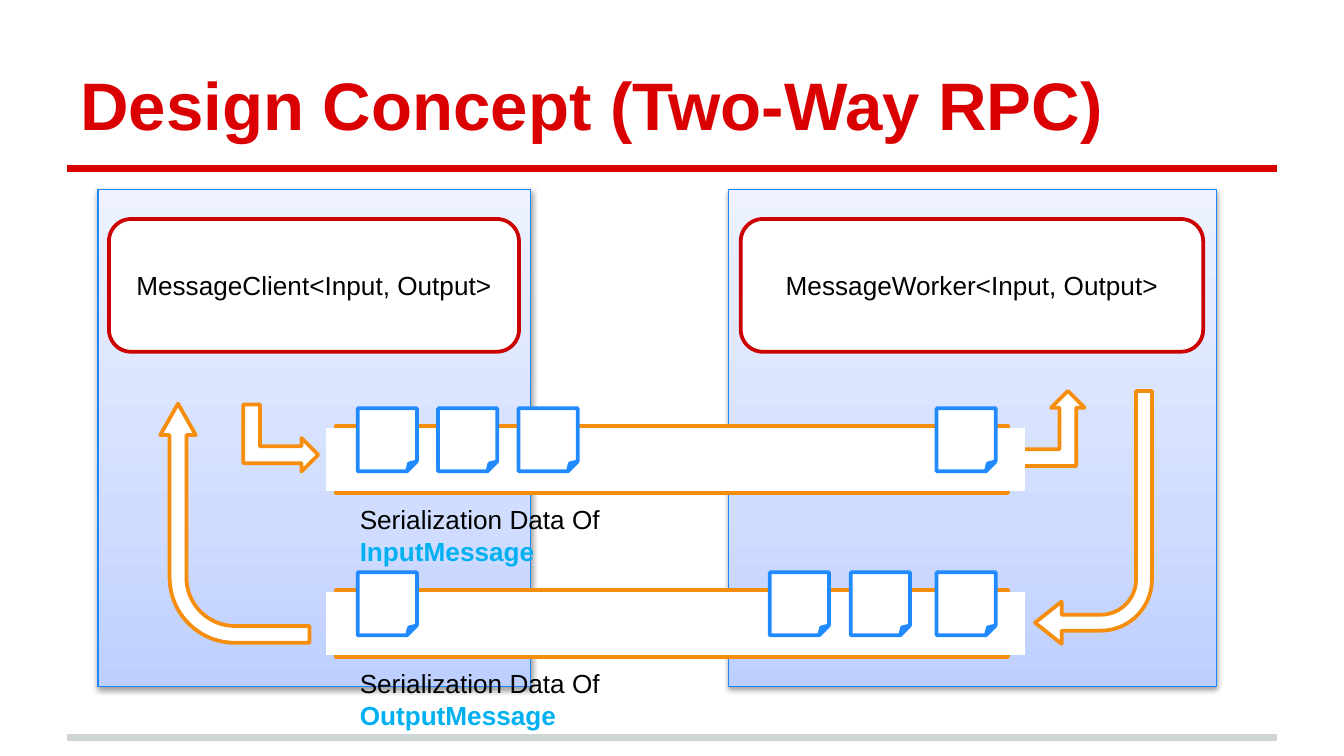
from copy import deepcopy
from typing import NamedTuple

from lxml.etree import SubElement
from pptx import Presentation
from pptx.dml.color import RGBColor
from pptx.enum.shapes import MSO_CONNECTOR, MSO_SHAPE
from pptx.enum.text import MSO_ANCHOR, PP_ALIGN
from pptx.oxml import parse_xml
from pptx.oxml.ns import nsdecls, qn
from pptx.util import Cm, Pt

WHITE = RGBColor(0xFF, 0xFF, 0xFF)
BLACK = RGBColor(0x00, 0x00, 0x00)
RED = RGBColor(0xDA, 0x00, 0x02)
DARK_RED = RGBColor(0xCC, 0x02, 0x02)
GRAY = RGBColor(0xCF, 0xD4, 0xD4)
ORANGE = RGBColor(0xF6, 0x8D, 0x0C)
NOTE_BLUE = RGBColor(0x22, 0x8A, 0xFF)
HOST_BLUE = RGBColor(0x1C, 0x87, 0xFF)
CYAN = RGBColor(0x00, 0xB0, 0xF0)
HOST_GRADIENT = (
    (0, RGBColor(0xBD, 0xCF, 0xFF)),
    (0.35, RGBColor(0xD1, 0xDD, 0xFF)),
    (1, RGBColor(0xEE, 0xF2, 0xFF)),
)
FONT = "Arial"


class Box(NamedTuple):
    """Frame in centimetres."""
    left: float
    top: float
    width: float
    height: float

    def lengths(self):
        return [Cm(value) for value in self]


class Host(NamedTuple):
    frame: Box
    role_frame: Box
    role: str


class Channel(NamedTuple):
    top: float
    note_lefts: tuple
    message: str
    label_width: float


class Arrow(NamedTuple):
    preset: MSO_SHAPE
    frame: Box
    rotation: int = 0
    adjustments: tuple = ()


HOSTS = (
    Host(Box(13.77, 3.58, 9.22, 9.4), Box(14, 4.14, 8.74, 2.51),
         "MessageWorker<Input, Output>"),
    Host(Box(1.85, 3.58, 8.18, 9.4), Box(2.06, 4.14, 7.75, 2.51),
         "MessageClient<Input, Output>"),
)
CHANNELS = (
    Channel(8.05, (6.76, 8.28, 9.8, 17.7), "InputMessage", 8.48),
    Channel(11.15, (6.76, 14.55, 16.08, 17.7), "OutputMessage", 8.86),
)
REQUEST_ARROWS = (
    Arrow(MSO_SHAPE.BENT_UP_ARROW, Box(19.23, 7.39, 1.27, 1.42)),
    Arrow(MSO_SHAPE.BENT_UP_ARROW, Box(4.67, 7.57, 1.27, 1.42), 90),
)
REPLY_ARROWS = (
    Arrow(MSO_SHAPE.BENT_ARROW, Box(19.56, 7.39, 2.21, 4.78), 180,
          (0.136, 0.181, 0.228, 0.438)),
    Arrow(MSO_SHAPE.BENT_ARROW, Box(2.18, 8.48, 4.52, 2.82), 270,
          (0.113, 0.119, 0.21, 0.438)),
)


def add_run(paragraph, text: str, size: float, color: RGBColor, bold: bool = False) -> None:
    run = paragraph.add_run()
    run.text = text
    run.font.name = FONT
    run.font.size = Pt(size)
    run.font.bold = bold
    run.font.color.rgb = color


def add_rule(slide, y: float, color: RGBColor) -> None:
    rule = slide.shapes.add_connector(
        MSO_CONNECTOR.STRAIGHT, Cm(1.27), Cm(y), Cm(24.13), Cm(y))
    rule.line.color.rgb = color
    rule.line.width = Pt(4)
    SubElement(rule._element.spPr, qn("a:effectLst"))


def add_outlined(slide, preset, frame: Box, line: RGBColor | None, width: float = 2):
    """Add a white shape without shadow; no line colour means no outline."""
    shape = slide.shapes.add_shape(preset, *frame.lengths())
    shape.shadow.inherit = False
    shape.fill.solid()
    shape.fill.fore_color.rgb = WHITE
    if line is None:
        shape.line.fill.background()
    else:
        shape.line.color.rgb = line
        shape.line.width = Pt(width)
    return shape


def add_host(slide, frame: Box) -> None:
    panel = add_outlined(slide, MSO_SHAPE.RECTANGLE, frame, HOST_BLUE, 0.75)
    panel.fill.gradient()
    panel.fill.gradient_angle = 90
    stop_list = panel._element.spPr.find(qn("a:gradFill")).find(qn("a:gsLst"))
    stop_list.insert(1, deepcopy(stop_list[0]))
    for stop, (position, color) in zip(panel.fill.gradient_stops, HOST_GRADIENT):
        stop.position = position
        stop.color.rgb = color
    panel._element.spPr.find(qn("a:effectLst")).append(parse_xml(
        f'<a:outerShdw {nsdecls("a")} blurRad="39370" dist="20320" dir="5400000"'
        ' rotWithShape="0"><a:srgbClr val="000000"><a:alpha val="38000"/>'
        '</a:srgbClr></a:outerShdw>'))


def add_role(slide, frame: Box, role: str) -> None:
    card = add_outlined(slide, MSO_SHAPE.ROUNDED_RECTANGLE, frame, DARK_RED)
    card.text_frame.vertical_anchor = MSO_ANCHOR.MIDDLE
    paragraph = card.text_frame.paragraphs[0]
    paragraph.alignment = PP_ALIGN.CENTER
    add_run(paragraph, role, 14, BLACK)


def add_arrow(slide, arrow: Arrow) -> None:
    shape = add_outlined(slide, arrow.preset, arrow.frame, ORANGE)
    shape.rotation = arrow.rotation
    for index, value in enumerate(arrow.adjustments):
        shape.adjustments[index] = value


def add_channel(slide, channel: Channel) -> None:
    """Draw an open-ended pipe, the messages in it and its label."""
    top = channel.top
    add_outlined(slide, MSO_SHAPE.RECTANGLE, Box(6.35, top, 12.7, 1.27), ORANGE)
    add_outlined(slide, MSO_SHAPE.FLOWCHART_PROCESS,
                 Box(6.17, top + 0.04, 13.21, 1.19), None)
    for left in channel.note_lefts:
        add_outlined(slide, MSO_SHAPE.FOLDED_CORNER,
                     Box(left, top - 0.33, 1.12, 1.19), NOTE_BLUE)
    label = slide.shapes.add_textbox(
        *Box(6.55, top + 1.35, channel.label_width, 0.86).lengths())
    label.text_frame.word_wrap = True
    label.text_frame.margin_right = Cm(3)  # message name goes on its own line
    paragraph = label.text_frame.paragraphs[0]
    add_run(paragraph, "Serialization Data Of ", 14, BLACK)
    add_run(paragraph, channel.message, 14, CYAN, bold=True)


def add_title(slide, text: str) -> None:
    title = slide.shapes.add_textbox(*Box(1.27, 0.58, 22.86, 2.39).lengths())
    frame = title.text_frame
    frame.word_wrap = True
    frame.vertical_anchor = MSO_ANCHOR.BOTTOM
    frame.margin_top = frame.margin_bottom = Cm(0.25)
    add_run(frame.paragraphs[0], text, 36, RED, bold=True)


def main() -> None:
    presentation = Presentation()
    presentation.slide_width = Cm(25.4)
    presentation.slide_height = Cm(14.29)
    slide = presentation.slides.add_slide(presentation.slide_layouts[6])

    add_rule(slide, 13.94, GRAY)
    add_rule(slide, 3.18, RED)
    for host in HOSTS:
        add_host(slide, host.frame)
    add_title(slide, "Design Concept (Two-Way RPC)")
    for host in reversed(HOSTS):
        add_role(slide, host.role_frame, host.role)
    for arrow in REQUEST_ARROWS:
        add_arrow(slide, arrow)
    for channel in CHANNELS:
        add_channel(slide, channel)
    for arrow in REPLY_ARROWS:
        add_arrow(slide, arrow)

    presentation.save("out.pptx")


if __name__ == "__main__":
    main()
